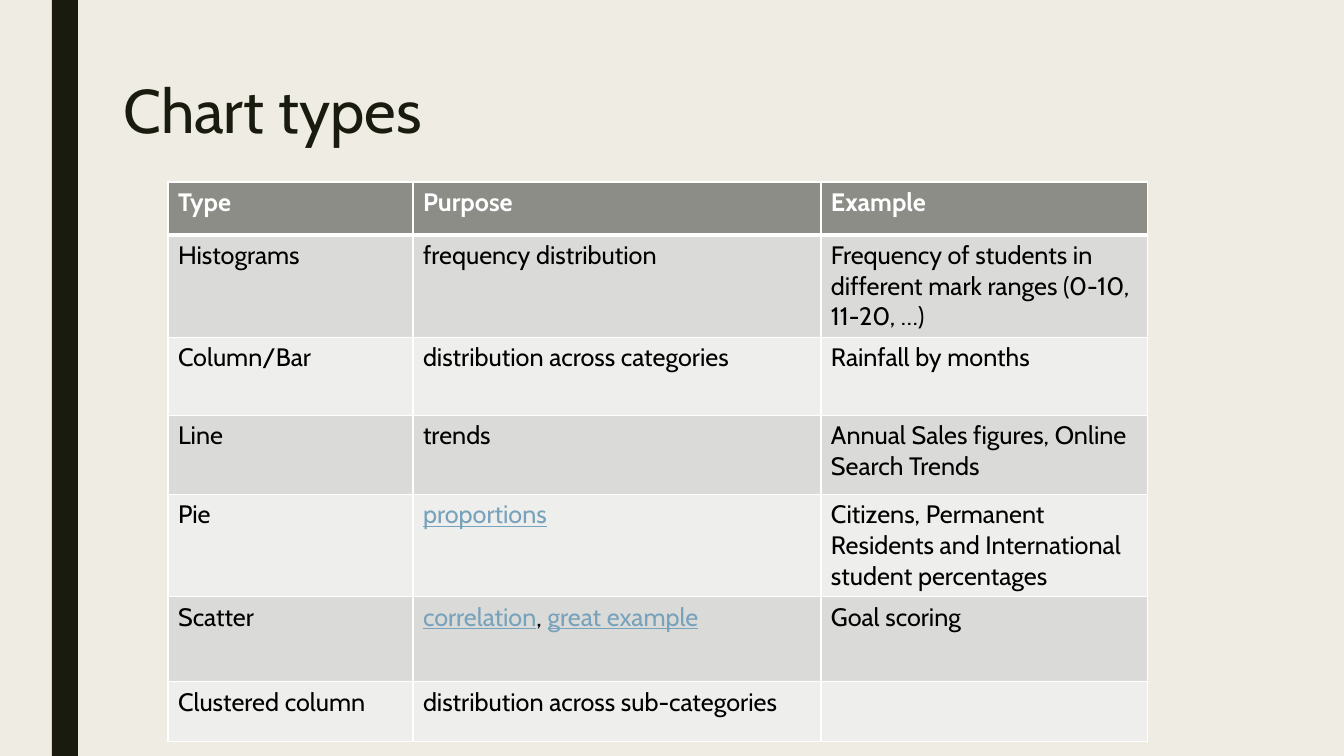
"""Build the slide that lists chart types in a table."""
from dataclasses import dataclass

from lxml import etree
from pptx import Presentation
from pptx import util as u
from pptx.dml.color import RGBColor
from pptx.enum import shapes, text
from pptx.oxml.ns import qn


@dataclass(frozen=True)
class Theme:
    """Colours, font and type sizes."""
    back: str = "EFEDE3"
    dark: str = "191B0E"
    head: str = "8C8D86"
    odd: str = "DADBD9"
    even: str = "EEEEED"
    white: str = "FFFFFF"
    black: str = "000000"
    link: str = "77A2BB"
    font: str = "Cabin"
    title: int = 44
    body: int = 18
    thin: int = 1
    thick: int = 3


THEME = Theme()
COLS = [245, 408, 327]
ROWS = [53, 91, 78, 79, 91, 85, 60]
LINKS = {"proportions", "correlation", "great example"}
CELLS = [
    [["Type"], ["Purpose"], ["Example"]],
    [["Histograms"], ["frequency distribution"],
     ["Frequency of students in different mark ranges (0-10, 11-20, …)"]],
    [["Column/Bar"], ["distribution across categories"], ["Rainfall by months"]],
    [["Line"], ["trends"], ["Annual Sales figures, Online Search Trends"]],
    [["Pie"], ["proportions"],
     ["Citizens, Permanent Residents and International student percentages"]],
    [["Scatter"], ["correlation", ", ", "great example"], ["Goal scoring"]],
    [["Clustered column"], ["distribution across sub-categories"], []],
]


def px(count):
    """Turn pixels into EMU."""
    return u.Emu(round(count * 914400 / 100.8))


def paint(fill, color):
    """Set a solid fill."""
    fill.solid()
    fill.fore_color.rgb = RGBColor.from_string(color)


def add_run(para, words, size, color, bold=False, under=False):
    """Add one formatted run."""
    run = para.add_run()
    run.text = words
    font = run.font
    font.name, font.size = THEME.font, u.Pt(size)
    font.bold, font.underline = bold, under
    font.color.rgb = RGBColor.from_string(color)


def add_title(slide, words, box):
    """Place and format the title."""
    title = slide.shapes.title
    title.left, title.top, title.width, title.height = map(px, box)
    frame = title.text_frame
    frame.word_wrap = True
    frame.auto_size = text.MSO_AUTO_SIZE.NONE
    frame.vertical_anchor = text.MSO_ANCHOR.TOP
    para = frame.paragraphs[0]
    para.alignment = text.PP_ALIGN.LEFT
    para.line_spacing = 0.89
    add_run(para, words, THEME.title, THEME.dark)


def add_bar(slide, box):
    """Add the dark side bar."""
    bar = slide.shapes.add_shape(shapes.MSO_SHAPE.RECTANGLE, *map(px, box))
    bar.shadow.inherit = False
    paint(bar.fill, THEME.dark)
    bar.line.fill.background()


def add_edges(cell, row):
    """Draw white cell borders, thick under the header."""
    props = cell._tc.get_or_add_tcPr()
    heavy = {(0, "lnB"), (1, "lnT")}
    for spot, side in enumerate(("lnL", "lnR", "lnT", "lnB")):
        width = THEME.thick if (row, side) in heavy else THEME.thin
        line = etree.Element(qn(f"a:{side}"), w=str(u.Pt(width)))
        fill = etree.SubElement(line, qn("a:solidFill"))
        etree.SubElement(fill, qn("a:srgbClr"), val=THEME.white)
        props.insert(spot, line)


def fill_cell(cell, row, parts):
    """Fill, border and write one cell."""
    head = row == 0
    paint(cell.fill, THEME.head if head else THEME.odd if row % 2 else THEME.even)
    add_edges(cell, row)
    para = cell.text_frame.paragraphs[0]
    para.font.size = u.Pt(THEME.body)
    for part in parts:
        link = part in LINKS
        color = THEME.white if head else THEME.link if link else THEME.black
        add_run(para, part, THEME.body, color, head, link)


def add_grid(slide, left, top):
    """Add the table of chart types."""
    box = map(px, (left, top, sum(COLS), sum(ROWS)))
    table = slide.shapes.add_table(len(ROWS), len(COLS), *box).table
    for col, width in zip(table.columns, COLS):
        col.width = px(width)
    for row, height in zip(table.rows, ROWS):
        row.height = px(height)
    for r, line in enumerate(CELLS):
        for c, parts in enumerate(line):
            fill_cell(table.cell(r, c), r, parts)


def main():
    """Build and save the slide."""
    deck = Presentation()
    deck.slide_width, deck.slide_height = px(1344), px(756)
    slide = deck.slides.add_slide(deck.slide_layouts.get_by_name("Title Only"))
    paint(slide.background.fill, THEME.back)
    add_title(slide, "Chart types", (113, 76, 1157, 163))
    add_bar(slide, (52, 0, 26, 756))
    add_grid(slide, 168, 182)
    deck.save("out.pptx")


main()
